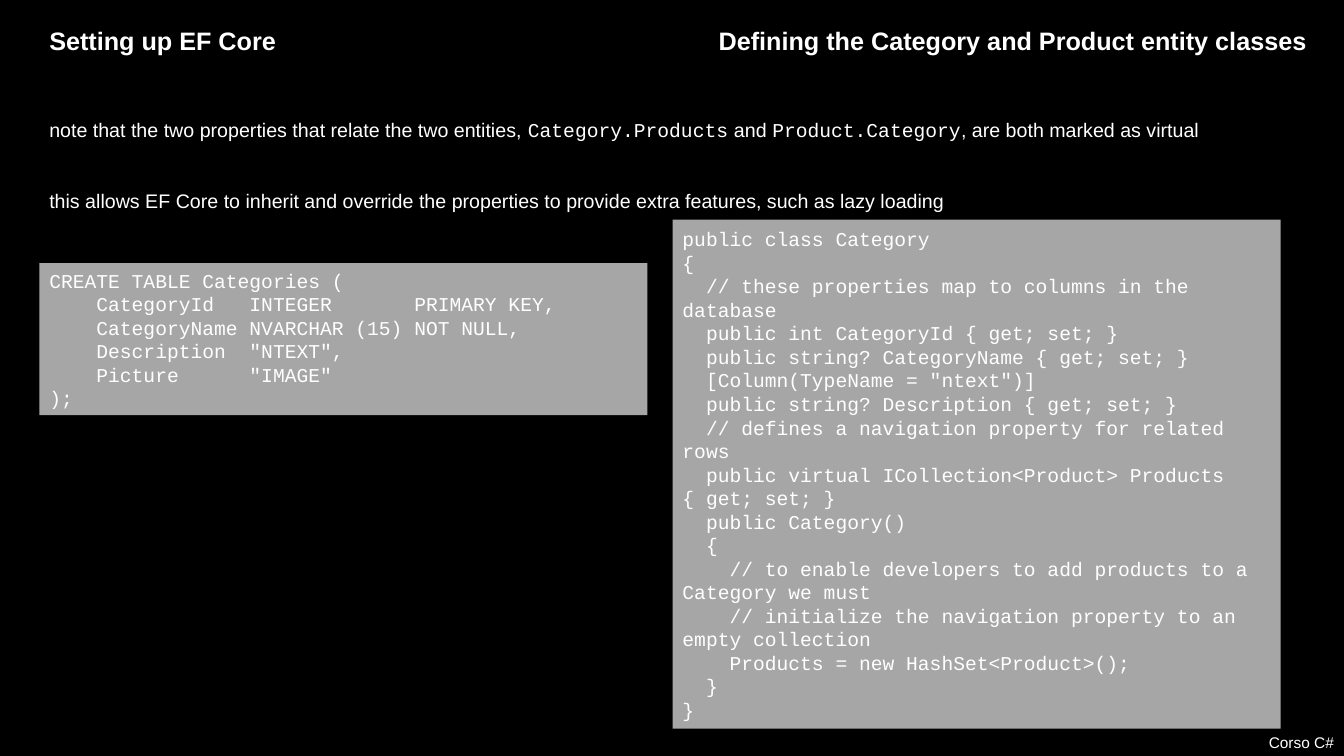
from dataclasses import dataclass

from pptx import Presentation
from pptx.dml.color import RGBColor
from pptx.enum.shapes import MSO_SHAPE
from pptx.enum.text import MSO_ANCHOR, MSO_AUTO_SIZE, PP_ALIGN
from pptx.util import Inches, Pt

LEFT, RIGHT = PP_ALIGN.LEFT, PP_ALIGN.RIGHT
MIDDLE = MSO_ANCHOR.MIDDLE
GROW = MSO_AUTO_SIZE.SHAPE_TO_FIT_TEXT
RECT = MSO_SHAPE.RECTANGLE


@dataclass(frozen=True)
class Theme:
    back: RGBColor = RGBColor(0x00, 0x00, 0x00)
    ink: RGBColor = RGBColor(0xFF, 0xFF, 0xFF)
    panel: RGBColor = RGBColor(0xA6, 0xA6, 0xA6)
    sans: str = "Arial"
    mono: str = "Courier New"
    head: int = 18
    body: int = 14
    foot: int = 11
    lines: float = 1.5
    gap: int = 26


class Deck:
    def __init__(self, theme):
        self.theme = theme
        self.file = Presentation()
        self.file.slide_width = Inches(13.33)
        self.file.slide_height = Inches(7.5)
        self.slide = self.file.slides.add_slide(self.file.slide_layouts[6])
        fill = self.slide.background.fill
        fill.solid()
        fill.fore_color.rgb = theme.back

    def place(self, left, top, width, height):
        wide, high = self.file.slide_width, self.file.slide_height
        return [round(part * full / 100) for part, full in
                ((left, wide), (top, high), (width, wide), (height, high))]

    def span(self, para, text, size, font, bold=False):
        run = para.add_run()
        run.text = text
        run.font.size = Pt(size)
        run.font.name = font
        run.font.bold = bold
        run.font.color.rgb = self.theme.ink

    def paras(self, frame, count, align=LEFT):
        for index in range(count):
            para = frame.add_paragraph() if index else frame.paragraphs[0]
            para.alignment = align
            yield para

    def frame(self, area, wrap=True):
        frame = self.slide.shapes.add_textbox(*self.place(*area)).text_frame
        frame.word_wrap = wrap
        frame.auto_size = GROW
        return frame

    def label(self, area, text, size, align=LEFT, bold=False, wrap=True):
        for para in self.paras(self.frame(area, wrap), 1, align):
            self.span(para, text, size, self.theme.sans, bold)

    def prose(self, area, notes):
        theme = self.theme
        frame = self.frame(area)
        for index, (para, note) in enumerate(zip(self.paras(frame, len(notes)), notes)):
            para.line_spacing = theme.lines
            if index:
                para.space_before = Pt(theme.gap)
            for text, font in note:
                self.span(para, text, theme.body, font)

    def code(self, area, source):
        theme = self.theme
        box = self.slide.shapes.add_shape(RECT, *self.place(*area))
        box.shadow.inherit = False
        box.fill.solid()
        box.fill.fore_color.rgb = theme.panel
        box.line.fill.background()
        frame = box.text_frame
        frame.word_wrap = True
        frame.auto_size = GROW
        frame.vertical_anchor = MIDDLE
        rows = source.strip().splitlines()
        for para, row in zip(self.paras(frame, len(rows)), rows):
            self.span(para, row, theme.body, theme.mono)


TABLE = """
CREATE TABLE Categories (
    CategoryId   INTEGER       PRIMARY KEY,
    CategoryName NVARCHAR (15) NOT NULL,
    Description  "NTEXT",
    Picture      "IMAGE"
);
"""

ENTITY = """
public class Category
{
  // these properties map to columns in the database
  public int CategoryId { get; set; }
  public string? CategoryName { get; set; }
  [Column(TypeName = "ntext")]
  public string? Description { get; set; }
  // defines a navigation property for related rows
  public virtual ICollection<Product> Products { get; set; }
  public Category()
  {
    // to enable developers to add products to a Category we must
    // initialize the navigation property to an empty collection
    Products = new HashSet<Product>();
  }
}
"""


def main():
    theme = Theme()
    deck = Deck(theme)
    edge, top, high = 2.93, 2.67, 5.33
    half = 45.24
    deck.label((0, 96.27, 100, 3.87), "Corso C#", theme.foot, RIGHT)
    deck.label((edge, top, 18.53, high), "Setting up EF Core",
               theme.head, bold=True, wrap=False)
    deck.label((43.89, top, 54.09, high),
               "Defining the Category and Product entity classes",
               theme.head, RIGHT, bold=True)
    deck.prose((edge, 13.33, 93.92, 14.93), [
        [("note that the two properties that relate the two entities, ", theme.sans),
         ("Category.Products", theme.mono),
         (" and ", theme.sans),
         ("Product.Category", theme.mono),
         (", are both marked as virtual", theme.sans)],
        [("this allows EF Core to inherit and override the properties "
          "to provide extra features, such as lazy loading", theme.sans)],
    ])
    deck.code((edge, 34.8, half, 20.13), TABLE)
    deck.code((50.04, 29.07, half, 67.33), ENTITY)
    deck.file.save("out.pptx")


if __name__ == "__main__":
    main()
